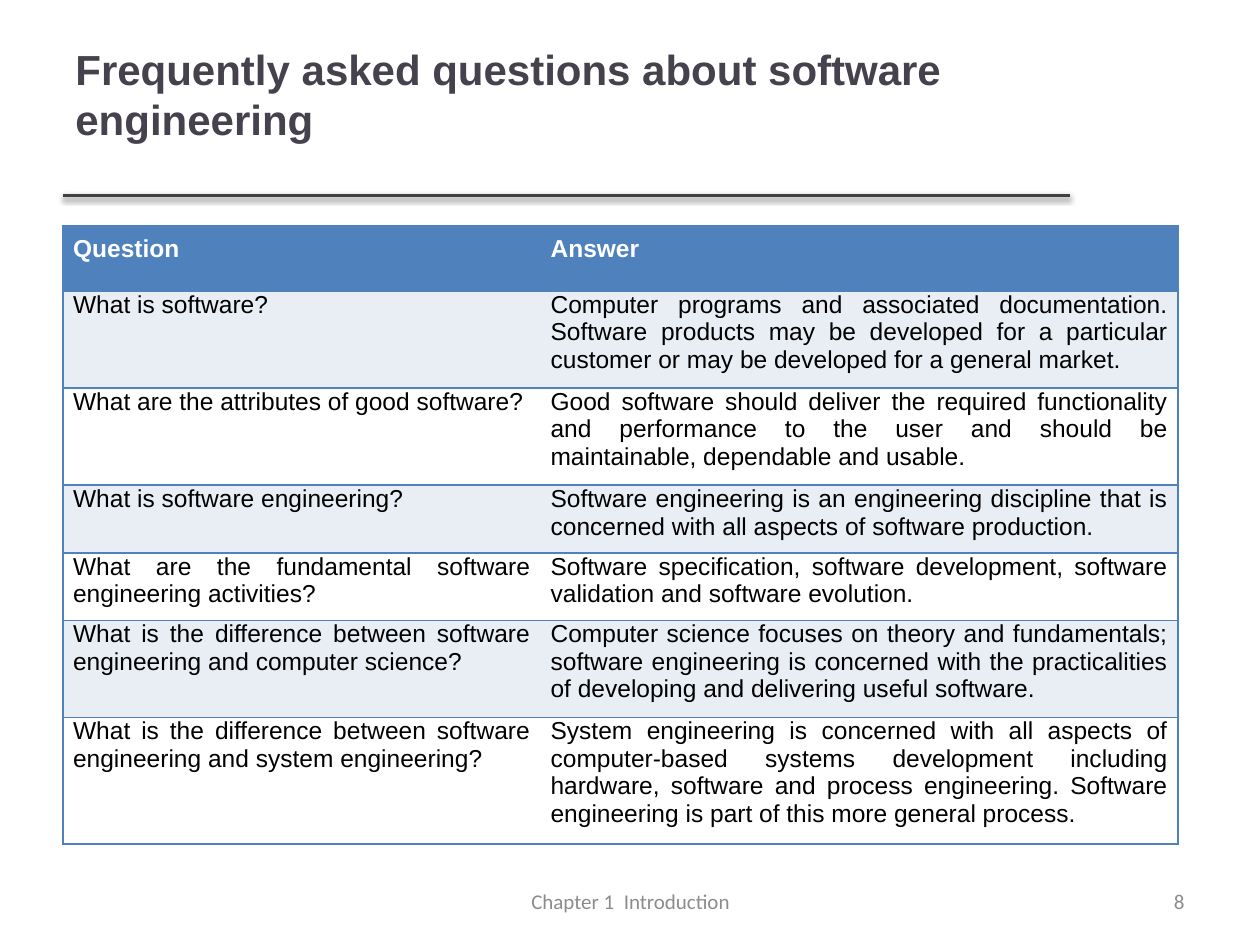
import lxml.etree
import pptx
import pptx.dml.color
import pptx.enum.shapes
import pptx.enum.text
import pptx.oxml
import pptx.oxml.ns
import pptx.util

Inches = pptx.util.Inches
Pt = pptx.util.Pt
RGBColor = pptx.dml.color.RGBColor
Align = pptx.enum.text.PP_ALIGN
qn = pptx.oxml.ns.qn

BLUE = RGBColor(0x4F, 0x81, 0xBD)
BAND = RGBColor(0xE9, 0xED, 0xF4)
WHITE = RGBColor(0xFF, 0xFF, 0xFF)
BLACK = RGBColor(0x00, 0x00, 0x00)
INK = RGBColor(0x46, 0x42, 0x4D)
RULE = RGBColor(0x40, 0x40, 0x40)
GREY = RGBColor(0x8C, 0x8C, 0x8C)

TITLE = {"name": "Arial", "size": Pt(24), "bold": True, "color": INK}
FOOTER = {"name": "Calibri", "size": Pt(12), "bold": False, "color": GREY}
HEADER = {"name": "Arial", "size": Pt(14), "bold": True, "color": WHITE}
BODY = {**HEADER, "bold": False, "color": BLACK}

HEADER_MARGINS = {"margin_left": Inches(0.08), "margin_right": Inches(0.08),
                  "margin_top": Inches(0.08), "margin_bottom": Inches(0.08)}
BODY_MARGINS = {**HEADER_MARGINS, "margin_top": Inches(0), "margin_bottom": Inches(0.07)}

COLUMN_WIDTHS = [3.79, 5.06]
ROWS = [
    (0.52, "Question", "Answer"),
    (0.67, "What is software?",
     "Computer programs and associated documentation. Software products may be "
     "developed for a particular customer or may be developed for a general market."),
    (0.67, "What are the attributes of good software?",
     "Good software should deliver the required functionality and performance to "
     "the user and should be maintainable, dependable and usable."),
    (0.52, "What is software engineering?",
     "Software engineering is an engineering discipline that is concerned with "
     "all aspects of software production."),
    (0.52, "What are the fundamental software engineering activities?",
     "Software specification, software development, software validation and "
     "software evolution."),
    (0.67, "What is the difference between software engineering and computer science?",
     "Computer science focuses on theory and fundamentals; software engineering is "
     "concerned with the practicalities of developing and delivering useful software."),
    (0.86, "What is the difference between software engineering and system engineering?",
     "System engineering is concerned with all aspects of computer-based systems "
     "development including hardware, software and process engineering. Software "
     "engineering is part of this more general process."),
]


class SlideBuilder:
    """Hold the slide and its styles, and add each kind of element."""

    def __init__(self, slide):
        self.slide = slide

    def add_run(self, tf, text, style, align):
        p = tf.paragraphs[0]
        p.alignment = align
        r = p.add_run()
        r.text = text
        for key, value in style.items():
            if key == "color":
                r.font.color.rgb = value
            else:
                setattr(r.font, key, value)

    def text(self, box, text, style, align, bottom=0.05):
        sp = self.slide.shapes.add_textbox(*map(Inches, box))
        tf = sp.text_frame
        values = {"word_wrap": True, "margin_bottom": Inches(bottom),
                  "vertical_anchor": pptx.enum.text.MSO_ANCHOR.MIDDLE}
        for key, value in values.items():
            setattr(tf, key, value)
        self.add_run(tf, text, style, align)

    def rule(self, left, right, y):
        line = self.slide.shapes.add_connector(
            pptx.enum.shapes.MSO_CONNECTOR.STRAIGHT,
            Inches(left), Inches(y), Inches(right), Inches(y))
        line.line.color.rgb = RULE
        line.line.width = Pt(2)
        effects = lxml.etree.SubElement(line._element.spPr, qn("a:effectLst"))
        shadow = lxml.etree.SubElement(
            effects, qn("a:outerShdw"), blurRad=str(Pt(3.1)), dist=str(Pt(1.6)),
            dir="5400000", rotWithShape="0")
        color = lxml.etree.SubElement(shadow, qn("a:srgbClr"), val=str(BLACK))
        lxml.etree.SubElement(color, qn("a:alpha"), val="38000")

    def borders(self, cell, hidden):
        tc_pr = cell._tc.get_or_add_tcPr()
        for side in "LRTB":
            ln = lxml.etree.SubElement(tc_pr, qn(f"a:ln{side}"), w=str(Pt(1)))
            if side == hidden:
                lxml.etree.SubElement(ln, qn("a:noFill"))
            else:
                fill = lxml.etree.SubElement(ln, qn("a:solidFill"))
                lxml.etree.SubElement(fill, qn("a:srgbClr"), val=str(BLUE))

    def table(self, left, top, widths, rows):
        height = sum(row[0] for row in rows)
        table = self.slide.shapes.add_table(
            len(rows), len(widths), Inches(left), Inches(top),
            Inches(sum(widths)), Inches(height)).table
        for column, width in zip(table.columns, widths):
            column.width = Inches(width)
        for i, (row_height, *texts) in enumerate(rows):
            table.rows[i].height = Inches(row_height)
            style, margins = (BODY, BODY_MARGINS) if i else (HEADER, HEADER_MARGINS)
            fill = (BAND if i % 2 else WHITE) if i else BLUE
            for j, text in enumerate(texts):
                cell = table.cell(i, j)
                for key, value in margins.items():
                    setattr(cell, key, value)
                self.borders(cell, hidden="RL"[j])
                cell.fill.solid()
                cell.fill.fore_color.rgb = fill
                self.add_run(cell.text_frame, text, style, Align.JUSTIFY)


def main():
    prs = pptx.Presentation()
    prs.slide_width = Inches(10)
    prs.slide_height = Inches(7.5)
    s = SlideBuilder(prs.slides.add_slide(prs.slide_layouts[6]))
    s.rule(0.5, 8.49, 1.55)
    s.text((0.5, 0.3, 8.41, 1.29), "Frequently asked questions about software engineering",
           TITLE, Align.LEFT, bottom=0.45)
    s.text((3.42, 6.95, 3.17, 0.4), "Chapter 1  Introduction", FOOTER, Align.CENTER)
    s.text((7.17, 6.95, 2.33, 0.4), "8", FOOTER, Align.RIGHT)
    s.table(0.5, 1.79, COLUMN_WIDTHS, ROWS)
    prs.save("out.pptx")


if __name__ == "__main__":
    main()
